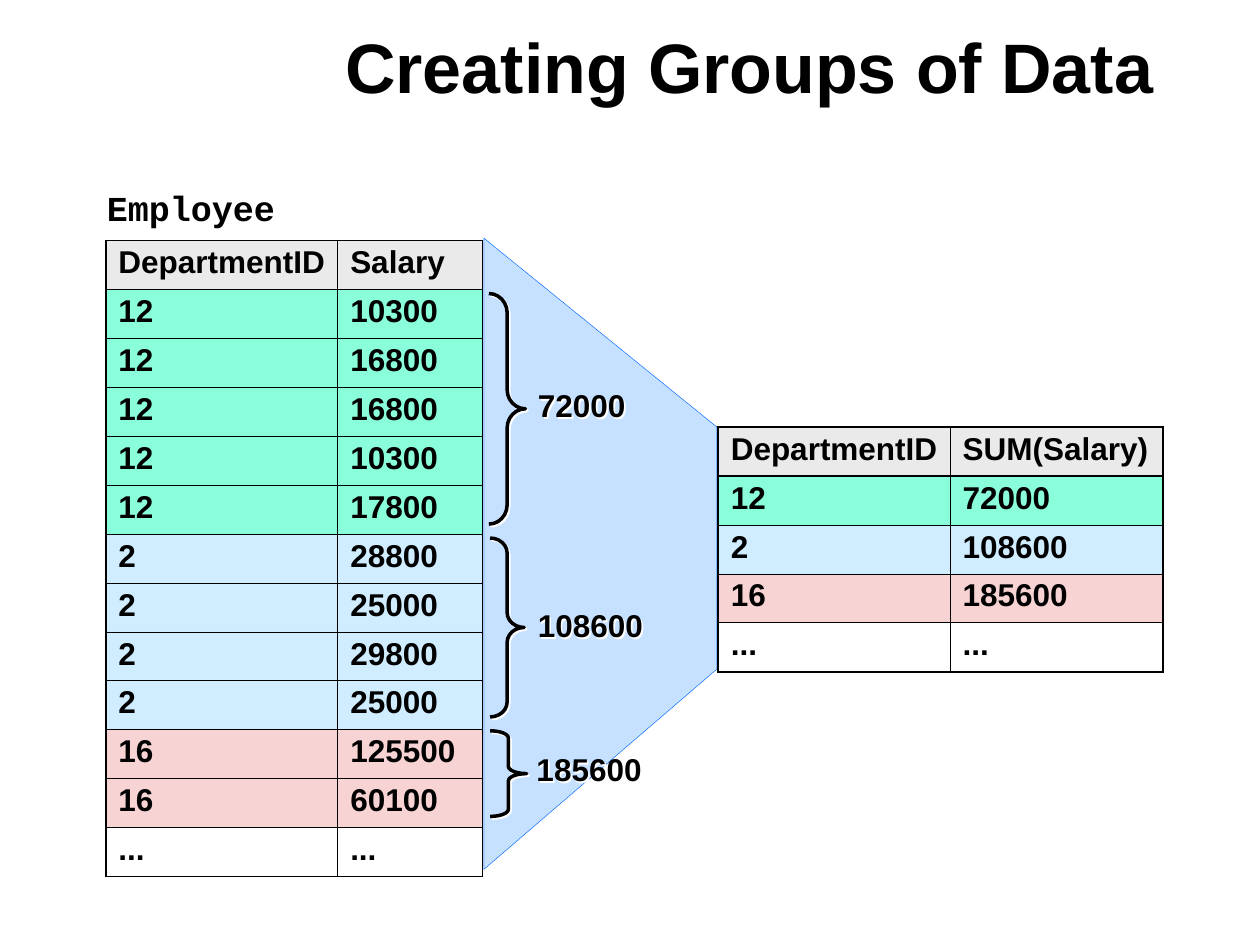
from typing import NamedTuple

from lxml import etree
from pptx import Presentation
from pptx import util as u
from pptx.dml.color import RGBColor
from pptx.enum import shapes, text
from pptx.oxml import ns

BLACK = RGBColor(0x00, 0x00, 0x00)
WHITE = RGBColor(0xFF, 0xFF, 0xFF)
GRAY = RGBColor(0xEA, 0xEA, 0xEA)
GREEN = RGBColor(0x16, 0xFE, 0xB6)
SKY = RGBColor(0xA3, 0xDC, 0xFF)
PINK = RGBColor(0xF1, 0xA9, 0xA9)
BLUE = RGBColor(0x8F, 0xC2, 0xFF)
EDGE = RGBColor(0x00, 0x66, 0xFF)

THIN, THICK = 0.45, 1.08
ROW = 5.05 / 13
TINTS = {"12": GREEN, "2": SKY, "16": PINK}


class Grid(NamedTuple):
    left: float
    top: float
    cols: tuple
    rows: list


class Group(NamedTuple):
    left: float
    top: float
    width: float
    height: float
    total: str
    box: tuple


PAY = Grid(0.84, 1.91, (1.84, 1.15), [
    ("DepartmentID", "Salary"),
    ("12", "10300"), ("12", "16800"), ("12", "16800"), ("12", "10300"), ("12", "17800"),
    ("2", "28800"), ("2", "25000"), ("2", "29800"), ("2", "25000"),
    ("16", "125500"), ("16", "60100"),
    ("...", "..."),
])
SUMS = Grid(5.7, 3.39, (1.84, 1.69), [
    ("DepartmentID", "SUM(Salary)"),
    ("12", "72000"), ("2", "108600"), ("16", "185600"),
    ("...", "..."),
])
GROUPS = [
    Group(3.88, 2.33, 0.29, 1.83, "72000", (4.17, 3.06, 0.92, 0.36)),
    Group(3.89, 4.27, 0.27, 1.42, "108600", (4.17, 4.81, 1.06, 0.36)),
    Group(3.89, 5.8, 0.29, 0.68, "185600", (4.16, 5.95, 1.06, 0.36)),
]
FUNNEL = [(3.84, 6.9), (3.84, 1.89), (5.69, 3.39), (5.69, 5.31)]


def child(parent, tag: str, **attrs):
    return etree.SubElement(parent, ns.qn(tag), attrs)


def write(frame, words: str, size: float = 18, face: str = "Arial", space: float = 1.0) -> None:
    para = frame.paragraphs[0]
    para.alignment = text.PP_ALIGN.LEFT
    para.line_spacing = space
    run = para.add_run()
    run.text = words
    run.font.size = u.Pt(size)
    run.font.name = face
    run.font.bold = True
    run.font.color.rgb = BLACK


def label(slide, box: tuple, words: str, **style):
    shape = slide.shapes.add_textbox(*map(u.Inches, box))
    frame = shape.text_frame
    frame.word_wrap = False
    frame.auto_size = text.MSO_AUTO_SIZE.SHAPE_TO_FIT_TEXT
    write(frame, words, **style)
    return shape


def tint(fill, color: RGBColor, host) -> None:
    fill.solid()
    fill.fore_color.rgb = color
    tone = host.find(ns.qn("a:solidFill")).find(ns.qn("a:srgbClr"))
    child(tone, "a:alpha", val="50000")


def shade(shape) -> None:
    shape.shadow.inherit = False
    effects = shape._element.spPr.find(ns.qn("a:effectLst"))
    glow = child(effects, "a:outerShdw", dist=str(u.Pt(1.4)), dir="2700000",
                 algn="ctr", rotWithShape="0")
    child(glow, "a:srgbClr", val=str(WHITE))


def edge(cell, side: str, width: float) -> None:
    line = child(cell._tc.get_or_add_tcPr(), f"a:ln{side}", w=str(u.Pt(width)))
    child(child(line, "a:solidFill"), "a:srgbClr", val=str(BLACK))


def draw_grid(slide, grid: Grid) -> None:
    count = len(grid.rows)
    shape = slide.shapes.add_table(
        count, len(grid.cols), u.Inches(grid.left), u.Inches(grid.top),
        u.Inches(sum(grid.cols)), u.Inches(ROW * count))
    table = shape.table
    table.first_row = table.horz_banding = False
    for col, width in zip(table.columns, grid.cols):
        col.width = u.Inches(width)
    for r, row in enumerate(grid.rows):
        for c, words in enumerate(row):
            cell = table.cell(r, c)
            heavy = {"L": c == 0, "R": c == len(row) - 1,
                     "T": r < 2, "B": r in (0, count - 1)}
            for side, thick in heavy.items():
                edge(cell, side, THICK if thick else THIN)
            if r == 0:
                cell.fill.solid()
                cell.fill.fore_color.rgb = GRAY
            elif row[0] in TINTS:
                tint(cell.fill, TINTS[row[0]], cell._tc.tcPr)
            else:
                cell.fill.background()
            write(cell.text_frame, words, space=0.95)


def draw_group(slide, group: Group) -> None:
    brace = slide.shapes.add_shape(
        shapes.MSO_SHAPE.RIGHT_BRACE, *map(u.Inches, group[:4]))
    brace.adjustments[0] = group.height / group.width / 12
    brace.fill.background()
    brace.line.color.rgb = BLACK
    brace.line.width = u.Pt(2)
    shade(brace)
    shade(label(slide, group.box, group.total, space=0.85))


def draw_funnel(slide) -> None:
    start, *rest = [(u.Inches(x), u.Inches(y)) for x, y in FUNNEL]
    pen = slide.shapes.build_freeform(*start)
    pen.add_line_segments(rest, close=True)
    shape = pen.convert_to_shape()
    shape.shadow.inherit = False
    tint(shape.fill, BLUE, shape._element.spPr)
    shape.line.color.rgb = EDGE
    shape.line.width = u.Pt(0.25)


def main() -> None:
    deck = Presentation()
    deck.slide_width, deck.slide_height = u.Inches(10), u.Inches(7.5)
    slide = deck.slides.add_slide(deck.slide_layouts[5])
    draw_funnel(slide)
    title = slide.shapes.title
    title.left, title.top, title.width, title.height = map(u.Inches, (2.64, 0.08, 7.17, 0.99))
    title.text_frame.auto_size = text.MSO_AUTO_SIZE.NONE
    title.text_frame.vertical_anchor = text.MSO_ANCHOR.MIDDLE
    write(title.text_frame, "Creating Groups of Data", size=40, space=0.85)
    draw_grid(slide, PAY)
    label(slide, (0.75, 1.43, 1.54, 0.43), "Employee", size=20, face="Courier New")
    for group in GROUPS:
        draw_group(slide, group)
    draw_grid(slide, SUMS)
    deck.save("out.pptx")


if __name__ == "__main__":
    main()
